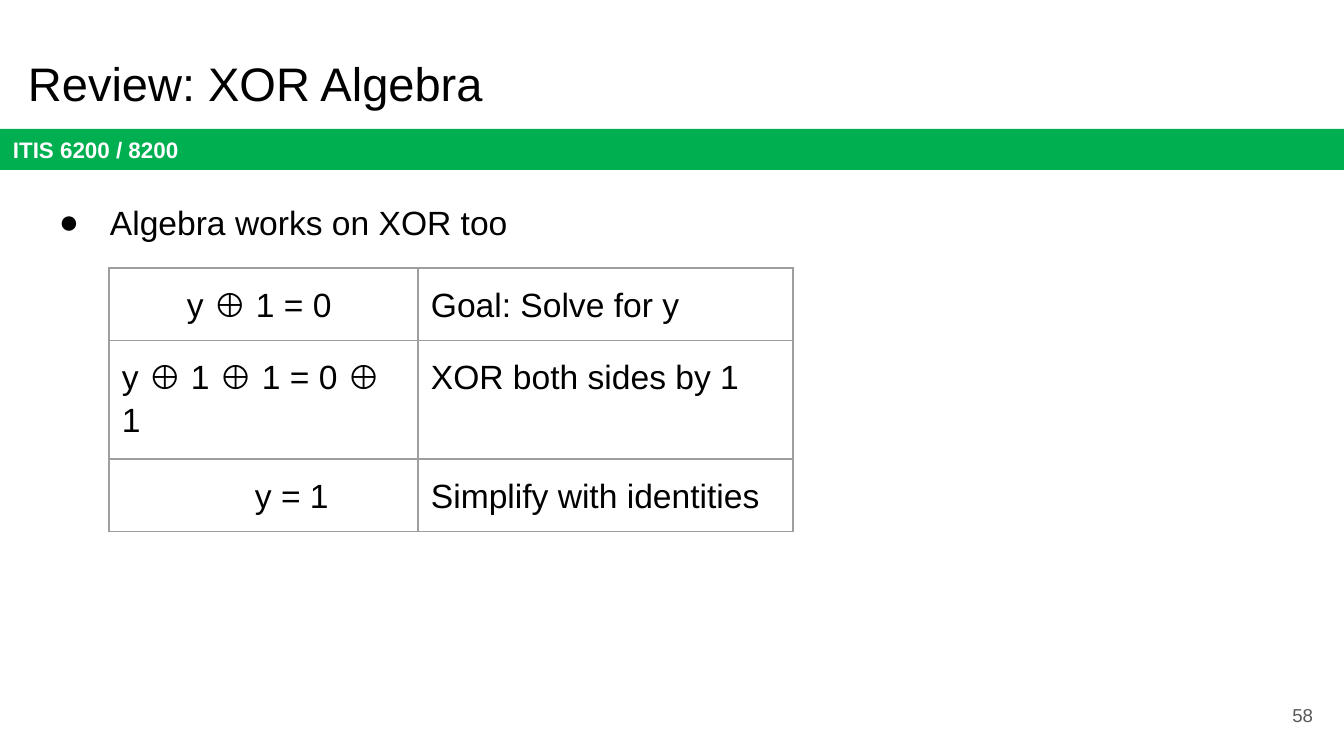
from lxml.etree import SubElement
from pptx import Presentation
from pptx.dml.color import RGBColor
from pptx.enum.shapes import MSO_SHAPE
from pptx.enum.text import MSO_ANCHOR, PP_ALIGN
from pptx.oxml.ns import qn
from pptx.util import Pt

SCALE = 914400 / 134.4
COLORS = {"black": "000000", "white": "FFFFFF", "green": "00B050",
          "gray": "595959", "line": "9E9E9E"}
PAD = 13


def emu(px):
    return round(px * SCALE)


class Deck:
    font = "Arial"

    def __init__(self, width, height):
        self.prs = Presentation()
        self.prs.slide_width, self.prs.slide_height = emu(width), emu(height)
        self.slide = self.prs.slides.add_slide(self.prs.slide_layouts[6])

    def color(self, name):
        return RGBColor.from_string(COLORS[name])

    def label(self, frame, text, size, color="black", bold=False,
              align=PP_ALIGN.LEFT, anchor=MSO_ANCHOR.TOP):
        """Fill a frame with one styled paragraph and return it."""
        frame.word_wrap = True
        frame.vertical_anchor = anchor
        frame.margin_left = frame.margin_right = emu(PAD)
        frame.margin_top = frame.margin_bottom = emu(PAD)
        frame.text = text
        para = frame.paragraphs[0]
        para.alignment = align
        self.style(para, size, color, bold)
        return para

    def style(self, para, size, color="black", bold=False):
        for run in para.runs:
            run.font.name = self.font
            run.font.size = Pt(size)
            run.font.bold = bold
            run.font.color.rgb = self.color(color)

    def text(self, box, text, size, **look):
        shape = self.slide.shapes.add_textbox(*map(emu, box))
        return self.label(shape.text_frame, text, size, **look)

    def bar(self, box, fill, text, size, **look):
        shape = self.slide.shapes.add_shape(MSO_SHAPE.RECTANGLE, *map(emu, box))
        shape.shadow.inherit = False
        shape.fill.solid()
        shape.fill.fore_color.rgb = self.color(fill)
        shape.line.fill.background()
        self.label(shape.text_frame, text, size, **look)

    def bullet(self, box, text, size):
        para = self.text(box, text, size)
        props = para._p.get_or_add_pPr()
        props.set("marL", str(emu(67)))
        props.set("indent", str(emu(-51)))
        tint = SubElement(props, qn("a:buClr"))
        SubElement(tint, qn("a:srgbClr"), val=COLORS["black"])
        SubElement(props, qn("a:buFont"), typeface=self.font)
        SubElement(props, qn("a:buChar"), char="●")
        para.line_spacing = 1.15

    def border(self, cell):
        props = cell._tc.get_or_add_tcPr()
        for side in ("lnL", "lnR", "lnT", "lnB"):
            line = SubElement(props, qn(f"a:{side}"), w=str(Pt(0.75)))
            fill = SubElement(line, qn("a:solidFill"))
            SubElement(fill, qn("a:srgbClr"), val=COLORS["line"])

    def table(self, left, top, widths, heights, rows, size):
        """Draw a grid; each row is an indent for its first cell, then texts."""
        box = (left, top, sum(widths), sum(heights))
        grid = self.slide.shapes.add_table(
            len(heights), len(widths), *map(emu, box)).table
        grid.first_row = grid.horz_banding = False
        for col, width in zip(grid.columns, widths):
            col.width = emu(width)
        for row, height, (indent, *texts) in zip(grid.rows, heights, rows):
            row.height = emu(height)
            for cell, text, inset in zip(row.cells, texts, (indent, 0)):
                self.border(cell)
                cell.fill.background()
                cell.margin_left = cell.margin_right = emu(PAD)
                cell.margin_top = cell.margin_bottom = emu(PAD)
                cell.text_frame.text = text
                para = cell.text_frame.paragraphs[0]
                para._p.get_or_add_pPr().set("marL", str(emu(inset)))
                para.line_spacing = 1.15
                para.space_after = Pt(12)
                self.style(para, size)


def main():
    deck = Deck(1344, 756)
    deck.bar((0, 129, 1344, 41), "green", "ITIS 6200 / 8200", 12,
             color="white", bold=True, anchor=MSO_ANCHOR.MIDDLE)
    deck.text((15, 41, 1253, 85), "Review: XOR Algebra", 25.2)
    deck.bullet((30, 183, 1253, 155), "Algebra works on XOR too", 18)
    deck.text((1246, 686, 80, 58), "58", 10, color="gray",
              align=PP_ALIGN.RIGHT, anchor=MSO_ANCHOR.MIDDLE)
    deck.table(109, 268, (309, 375), (70, 114, 70), (
        (65, "y ⊕ 1 = 0", "Goal: Solve for y"),
        (0, "y ⊕ 1 ⊕ 1 = 0 ⊕ 1", "XOR both sides by 1"),
        (133, "y = 1", "Simplify with identities"),
    ), 18)
    deck.prs.save("out.pptx")


if __name__ == "__main__":
    main()
